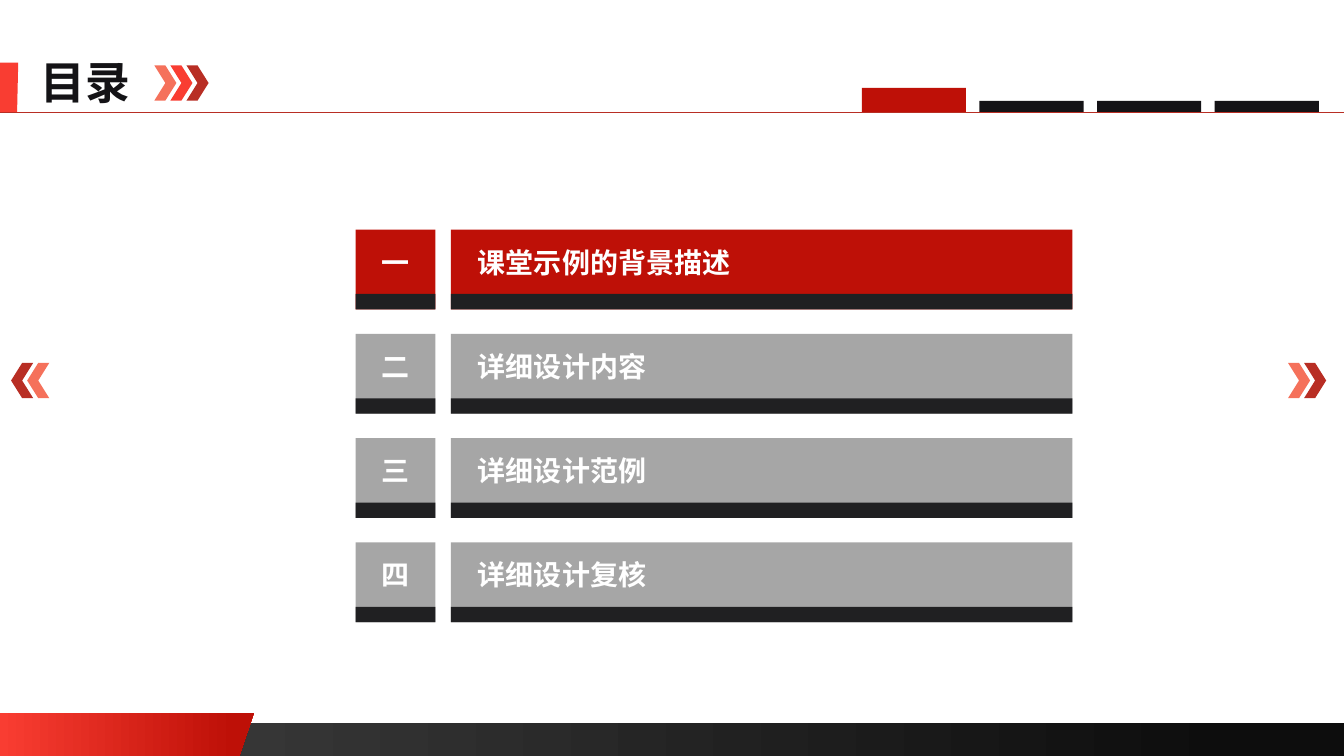
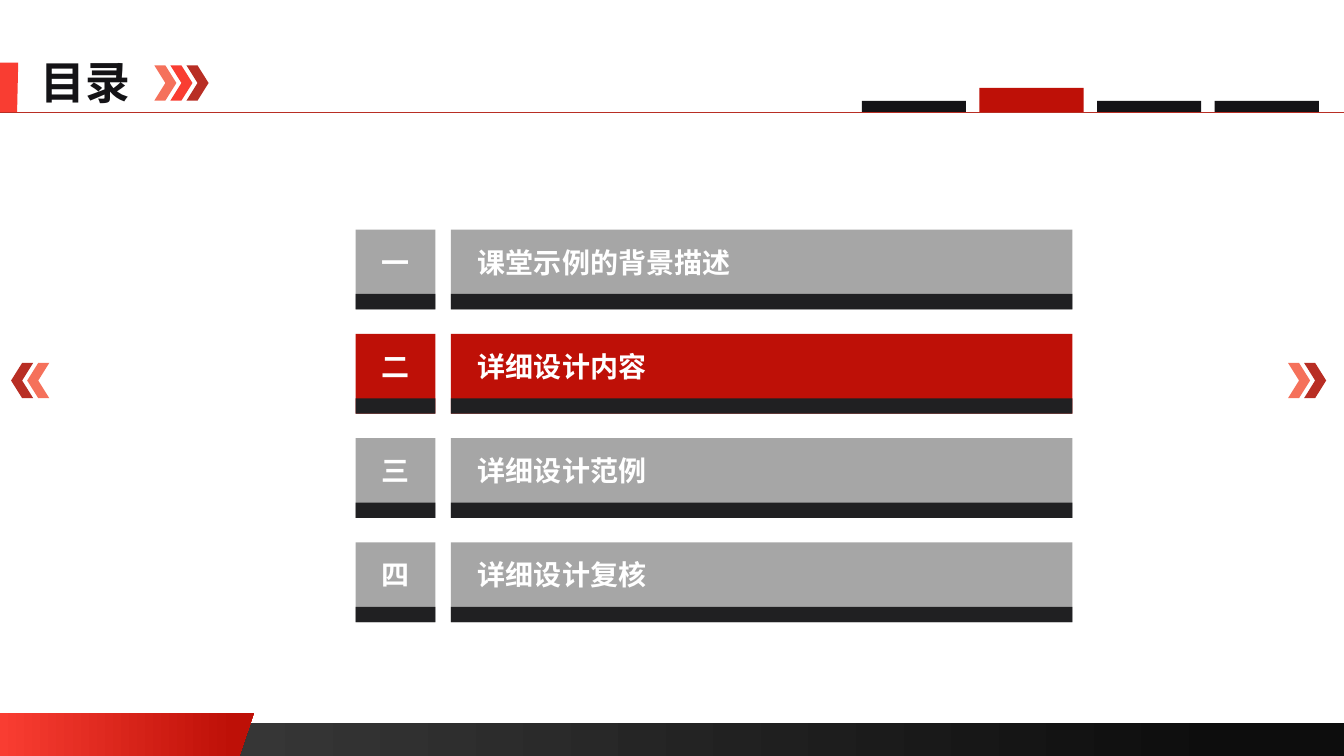
from lxml import etree
from pptx import Presentation
from pptx import util as u
from pptx.dml.color import RGBColor
from pptx.enum import shapes, text
from pptx.oxml.ns import qn

FONT = "Noto Sans CJK SC"
WIDTH, HEIGHT = 960, 540
RED, BRIGHT, CORAL, DEEP = "BE1007", "F93D32", "F5715B", "B82E24"
INK, STRIP, GREY, WHITE = "141316", "202022", "A6A6A6", "FFFFFF"
CHAPTERS = [
    ("一", "课堂示例的背景描述"),
    ("二", "详细设计内容"),
    ("三", "详细设计范例"),
    ("四", "详细设计复核"),
]


def color(value):
    return RGBColor.from_string(value)


class Agenda:
    def __init__(self):
        self.deck = Presentation()
        self.deck.slide_width, self.deck.slide_height = u.Pt(WIDTH), u.Pt(HEIGHT)
        self.page = None

    def paint(self, shape, fill):
        shape.shadow.inherit = False
        shape.line.fill.background()
        if isinstance(fill, str):
            shape.fill.solid()
            shape.fill.fore_color.rgb = color(fill)
            return
        shape.fill.gradient()
        shape.fill.gradient_angle = 0
        for stop, value, position in zip(shape.fill.gradient_stops, fill, (0, 0.92)):
            stop.color.rgb = color(value)
            stop.position = position

    def block(self, left, top, width, height, fill, kind=shapes.MSO_SHAPE.RECTANGLE):
        shape = self.page.shapes.add_shape(
            kind, u.Pt(left), u.Pt(top), u.Pt(width), u.Pt(height))
        self.paint(shape, fill)
        return shape

    def outline(self, points, fill):
        corners = [(u.Pt(x), u.Pt(y)) for x, y in points]
        builder = self.page.shapes.build_freeform(*corners[0])
        builder.add_line_segments(corners[1:], close=True)
        self.paint(builder.convert_to_shape(), fill)

    def rule(self, top):
        line = self.page.shapes.add_connector(
            shapes.MSO_CONNECTOR.STRAIGHT, 0, u.Pt(top), u.Pt(WIDTH), u.Pt(top))
        line.line.color.rgb = color(DEEP)
        line.line.width = u.Pt(0.5)
        etree.SubElement(line._element.spPr, qn("a:effectLst"))

    def label(self, shape, words, size, ink, align=text.PP_ALIGN.LEFT):
        frame = shape.text_frame
        frame.text = words
        frame.word_wrap = False
        frame.auto_size = text.MSO_AUTO_SIZE.NONE
        frame.vertical_anchor = text.MSO_ANCHOR.MIDDLE
        para = frame.paragraphs[0]
        para.alignment = align
        span = para.runs[0]
        span.font.name = FONT
        span.font.size = u.Pt(size)
        span.font.bold = True
        span.font.color.rgb = color(ink)
        etree.SubElement(span._r.get_or_add_rPr(), qn("a:ea")).set("typeface", FONT)

    def title(self, words):
        box = self.page.shapes.title
        box.left, box.top, box.width, box.height = map(u.Pt, (21.6, 35.3, 79.2, 46))
        self.label(box, words, 32, INK)

    def chevrons(self, left, top, fills, rotation=0):
        for index, fill in enumerate(fills):
            arrow = self.block(left + index * 11.5, top, 15.8, 25.2, fill,
                               shapes.MSO_SHAPE.CHEVRON)
            arrow.rotation = rotation

    def tabs(self, active):
        for index in range(len(CHAPTERS)):
            top, fill = (62.8, RED) if index == active else (72, INK)
            self.block(615.6 + index * 84, top, 74.4, 80 - top, fill)

    def card(self, left, top, width, fill):
        face = self.block(left, top, width, 57, fill)
        self.block(left, top + 46, width, 11, STRIP)
        frame = face.text_frame
        frame.margin_top, frame.margin_bottom = 0, u.Pt(11)
        return face

    def chapters(self, active):
        for index, (number, name) in enumerate(CHAPTERS):
            top = 164 + index * 74.5
            fill = RED if index == active else GREY
            badge = self.card(254, top, 57, fill)
            badge.text_frame.margin_left = badge.text_frame.margin_right = 0
            self.label(badge, number, 20, WHITE, text.PP_ALIGN.CENTER)
            bar = self.card(322, top, 444, fill)
            bar.text_frame.margin_left = u.Pt(19.4)
            self.label(bar, name, 20, WHITE)

    def add_page(self, active):
        self.page = self.deck.slides.add_slide(self.deck.slide_layouts[5])
        self.page.background.fill.solid()
        self.page.background.fill.fore_color.rgb = color(WHITE)
        self.block(0, 516.4, WIDTH, 23.6, ("404040", "0D0D0D"))
        self.outline([(0, 509), (181.4, 509), (171, HEIGHT), (0, HEIGHT)], (BRIGHT, RED))
        self.outline([(0, 44.7), (13, 44.7), (12.2, 80.5), (0, 80.5)], BRIGHT)
        self.title("目录")
        self.rule(80)
        self.chevrons(110.2, 46.7, (CORAL, BRIGHT, DEEP))
        self.chevrons(920, 259.2, (CORAL, DEEP))
        self.chevrons(7.9, 259.2, (DEEP, CORAL), 180)
        self.tabs(active)
        self.chapters(active)


def main():
    agenda = Agenda()
    for active in range(2):
        agenda.add_page(active)
    agenda.deck.save("out.pptx")


if __name__ == "__main__":
    main()
